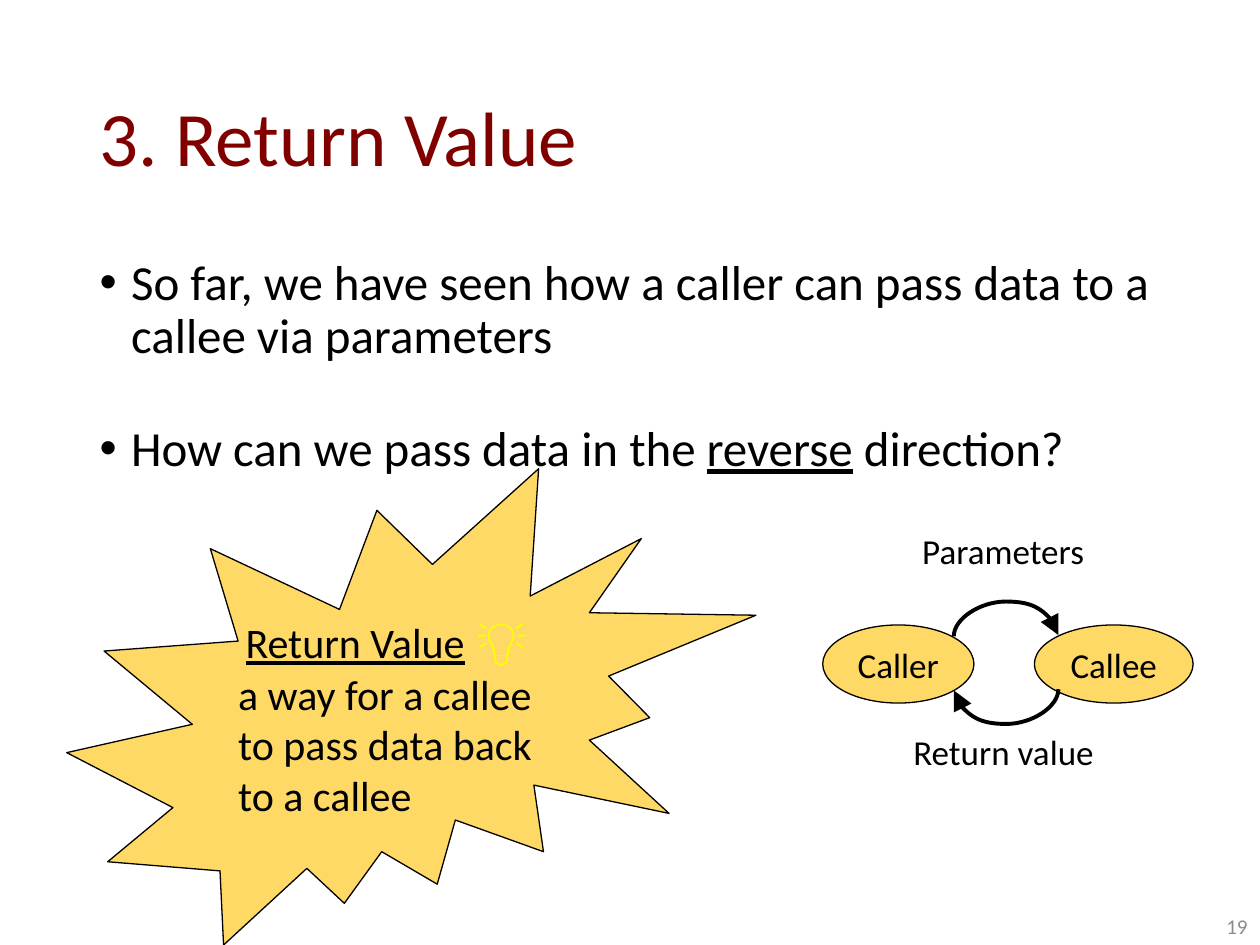
import pptx
import pptx.util
import pptx.dml.color
import pptx.enum.shapes
import pptx.enum.text
import pptx.oxml.ns
import lxml.etree

Inches = pptx.util.Inches
Pt = pptx.util.Pt
SHAPES = pptx.enum.shapes.MSO_SHAPE
ALIGN = pptx.enum.text.PP_ALIGN
ANCHOR = pptx.enum.text.MSO_ANCHOR
qn = pptx.oxml.ns.qn

COLORS = {"title": "800000", "ink": "000000", "gold": "FFD966",
          "bulb": "FFFF00", "number": "8C8C8C"}
MARGINS = ("margin_left", "margin_top", "margin_right", "margin_bottom")


def set_values(target, values):
    for name, value in values.items():
        setattr(target, name, value)


def add_run(paragraph, text, size, color="ink", underline=None):
    run = paragraph.add_run()
    run.text = text
    set_values(run.font, {"name": "Calibri", "size": Pt(size), "underline": underline})
    run.font.color.rgb = pptx.dml.color.RGBColor.from_string(COLORS[color])
    return run


presentation = pptx.Presentation()
set_values(presentation, {"slide_width": Inches(10), "slide_height": Inches(7.5)})
slide = presentation.slides.add_slide(presentation.slide_layouts[1])
title, body = slide.placeholders

# Title
set_values(title, {"left": Inches(0.69), "top": Inches(0.4),
                   "width": Inches(8.62), "height": Inches(1.45)})
set_values(title.text_frame, {"vertical_anchor": ANCHOR.MIDDLE, "word_wrap": True,
                              "auto_size": pptx.enum.text.MSO_AUTO_SIZE.NONE})
paragraph = title.text_frame.paragraphs[0]
set_values(paragraph, {"alignment": ALIGN.LEFT, "line_spacing": 0.9})
add_run(paragraph, "3. Return Value", 44, "title")

# Bullets: each is a list of (text, underline)
bullets = [
    [("So far, we have seen how a caller can pass data to a callee via parameters", False)],
    [("How can we pass data in the ", False), ("reverse", True), (" direction?", False)],
]
set_values(body, {"left": Inches(0.69), "top": Inches(2),
                  "width": Inches(8.62), "height": Inches(4.76)})
set_values(body.text_frame, {"word_wrap": True,
                             "auto_size": pptx.enum.text.MSO_AUTO_SIZE.NONE})
for index, parts in enumerate(bullets):
    paragraph = body.text_frame.add_paragraph() if index else body.text_frame.paragraphs[0]
    properties = paragraph._p.get_or_add_pPr()
    properties.set("marL", str(Inches(0.25)))
    properties.set("indent", str(Inches(-0.25)))
    lxml.etree.SubElement(properties, qn("a:buFont")).set("typeface", "Arial")
    lxml.etree.SubElement(properties, qn("a:buChar")).set("char", "•")
    set_values(paragraph, {"line_spacing": 0.9, "space_before": Pt(34.5 * index)})
    for text, underline in parts:
        add_run(paragraph, text, 28, underline=underline)

# Starburst and the two ellipses
filled_shapes = []
for preset, left, top, width, height in [
    (SHAPES.EXPLOSION2, 0.53, 3.72, 5.47, 3.78),
    (SHAPES.OVAL, 6.53, 4.96, 1.2, 0.62),
    (SHAPES.OVAL, 8.21, 4.96, 1.26, 0.62),
]:
    shape = slide.shapes.add_shape(preset, Inches(left), Inches(top),
                                   Inches(width), Inches(height))
    shape.shadow.inherit = False
    shape.fill.solid()
    shape.fill.fore_color.rgb = pptx.dml.color.RGBColor.from_string(COLORS["gold"])
    shape.line.color.rgb = pptx.dml.color.RGBColor.from_string(COLORS["ink"])
    shape.line.width = Pt(0.75)
    filled_shapes.append(shape)
starburst, *ellipses = filled_shapes

# Definition inside the starburst
frame = starburst.text_frame
set_values(frame, dict.fromkeys(MARGINS, 0))
set_values(frame, {"vertical_anchor": ANCHOR.TOP, "word_wrap": True})
heading = frame.paragraphs[0]
heading.alignment = ALIGN.CENTER
add_run(heading, "Return Value", 24, underline=True)
bulb = add_run(heading, " 💡", 28, "bulb")
outline = lxml.etree.Element(qn("a:ln"), w=str(Pt(0.75)))
outline_fill = lxml.etree.SubElement(outline, qn("a:solidFill"))
lxml.etree.SubElement(outline_fill, qn("a:srgbClr")).set("val", COLORS["ink"])
bulb.font._element.insert(0, outline)
definition = frame.add_paragraph()
definition.alignment = ALIGN.LEFT
add_run(definition, "a way for a callee to pass data back to a callee", 24)

# Ellipse names
for ellipse, name in zip(ellipses, ("Caller", "Callee")):
    frame = ellipse.text_frame
    set_values(frame, {"vertical_anchor": ANCHOR.MIDDLE, "word_wrap": False})
    frame.paragraphs[0].alignment = ALIGN.CENTER
    add_run(frame.paragraphs[0], name, 20)

# Curved arrows: thin connectors turned a quarter, bulging by the adjustment
BULGE = 0.28
for begin_x, begin_y, end_x, end_y in [
    (7.99, 5.46, 7.98, 4.63),
    (7.98, 5.06, 7.99, 5.89),
]:
    arrow = slide.shapes.add_connector(
        pptx.enum.shapes.MSO_CONNECTOR.CURVE,
        Inches(begin_x), Inches(begin_y), Inches(end_x), Inches(end_y))
    arrow.line.color.rgb = pptx.dml.color.RGBColor.from_string(COLORS["ink"])
    arrow.line.width = Pt(2.25)
    lxml.etree.SubElement(arrow.line._get_or_add_ln(), qn("a:tailEnd"),
                          type="triangle", w="lg", len="lg")
    properties = arrow._element.spPr
    lxml.etree.SubElement(properties, qn("a:effectLst"))
    properties.find(qn("a:xfrm")).set("rot", str(90 * 60000))
    adjustments = properties.find(qn("a:prstGeom")).get_or_add_avLst()
    lxml.etree.SubElement(adjustments, qn("a:gd"), name="adj1",
                          fmla=f"val {round(BULGE / 0.01 * 100000)}")

# Arrow labels and slide number
for text, left, top, width, height, size, color, alignment, anchor in [
    ("Parameters", 7.22, 4.15, 1.51, 0.44, 20, "ink", ALIGN.LEFT, ANCHOR.TOP),
    ("Return value", 7.15, 5.75, 1.65, 0.44, 20, "ink", ALIGN.LEFT, ANCHOR.TOP),
    ("19", 7.75, 7.1, 2.25, 0.4, 12, "number", ALIGN.RIGHT, ANCHOR.BOTTOM),
]:
    box = slide.shapes.add_textbox(Inches(left), Inches(top), Inches(width), Inches(height))
    set_values(box.text_frame, {"word_wrap": size == 12, "vertical_anchor": anchor})
    paragraph = box.text_frame.paragraphs[0]
    paragraph.alignment = alignment
    add_run(paragraph, text, size, color)

presentation.save("out.pptx")
